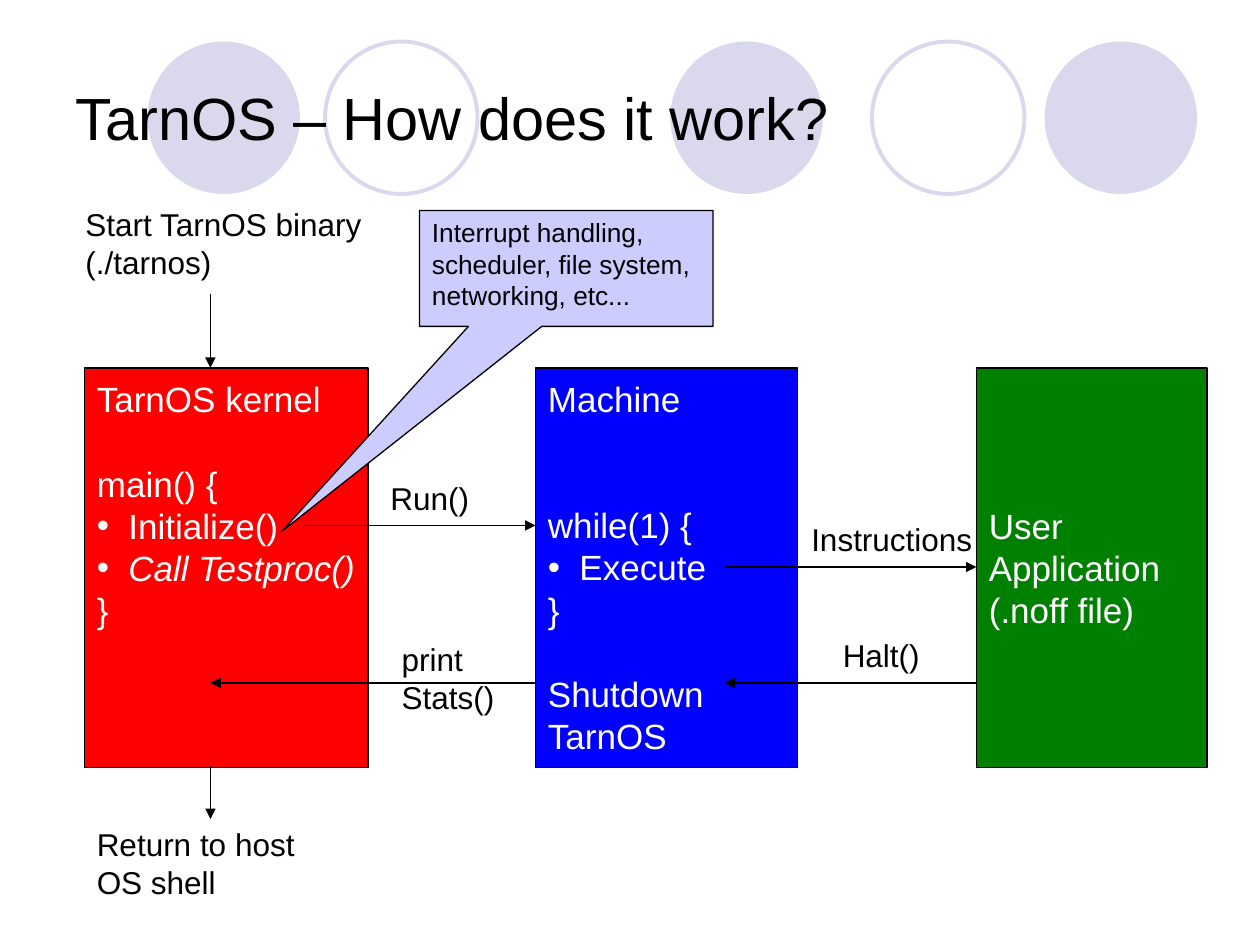
from dataclasses import dataclass
from typing import Any, NamedTuple

from lxml import etree
from pptx import Presentation
from pptx import util as u
from pptx.dml import color
from pptx.enum import shapes, text
from pptx.oxml import ns

KIND = shapes.MSO_SHAPE
MID = text.MSO_ANCHOR.MIDDLE
TOP = text.MSO_ANCHOR.TOP
LEFT = text.PP_ALIGN.LEFT
BLACK, WHITE, PALE = "000000", "FFFFFF", "D9D8EC"


class Line(NamedTuple):
    words: str
    gap: int = 0
    dot: bool = False
    slant: bool = False


class Area(NamedTuple):
    left: float
    top: float
    width: float
    height: float

    def lengths(self) -> list[int]:
        return [u.Inches(n) for n in self]


@dataclass
class Panel:
    left: float
    width: float
    fill: str
    lines: list[Line]
    anchor: Any = TOP
    inset: float = 0.08


@dataclass
class Label:
    area: Area
    lines: list[Line]


class Arrow(NamedTuple):
    x1: float
    y1: float
    x2: float
    y2: float


CIRCLES = [(5.32, True), (8.29, True), (1.17, True), (6.92, False), (2.58, False)]
PANELS = [
    Panel(0.67, 2.25, "FF0000", [
        Line("TarnOS kernel"), Line("main() {", 1), Line("Initialize()", dot=True),
        Line("Call Testproc()", dot=True, slant=True), Line("}")]),
    Panel(4.25, 2.08, "0000FF", [
        Line("Machine"), Line("while(1) {", 2), Line("Execute", dot=True),
        Line("}"), Line("Shutdown", 1), Line("TarnOS")]),
    Panel(7.75, 1.83, "008000", [
        Line("User"), Line("Application"), Line("(.noff file)")], MID, 0.05),
]
ARROWS = [
    Arrow(5.75, 4.5, 7.75, 4.5),
    Arrow(7.75, 5.42, 5.75, 5.42),
    Arrow(1.67, 2.33, 1.67, 2.92),
    Arrow(1.67, 6.08, 1.67, 6.5),
    Arrow(2.42, 4.17, 4.25, 4.17),
    Arrow(4.25, 5.42, 1.67, 5.42),
]
LABELS = [
    Label(Area(6.59, 5, 0.81, 0.4), [Line("Halt()")]),
    Label(Area(0.58, 1.58, 2.49, 0.7), [Line("Start TarnOS binary"), Line("(./tarnos)")]),
    Label(Area(0.67, 6.5, 1.83, 0.7), [Line("Return to host"), Line("OS shell")]),
    Label(Area(6.34, 4.08, 1.48, 0.4), [Line("Instructions")]),
    Label(Area(3, 3.75, 0.82, 0.4), [Line("Run()")]),
    Label(Area(3.09, 5.03, 0.93, 0.7), [Line("print"), Line("Stats()")]),
]


def assign(item: Any, values: dict[str, Any]) -> None:
    for key, value in values.items():
        setattr(item, key, value)


def tint(hue: str) -> color.RGBColor:
    return color.RGBColor.from_string(hue)


def write(shape: Any, lines: list[Line], size: int, hue: str,
          anchor: Any = TOP, inset: float = 0.05) -> None:
    frame = shape.text_frame
    assign(frame, {
        "word_wrap": True, "vertical_anchor": anchor,
        "margin_left": u.Inches(0.1), "margin_right": 0,
        "margin_top": u.Inches(inset), "margin_bottom": u.Inches(0.05)})
    for spot, line in enumerate(lines):
        para = frame.add_paragraph() if spot else frame.paragraphs[0]
        assign(para, {"alignment": LEFT, "space_before": u.Pt(line.gap * size * 1.2)})
        run = para.add_run()
        run.text = line.words
        assign(run.font, {"name": "Arial", "size": u.Pt(size), "italic": line.slant})
        run.font.color.rgb = tint(hue)
        if line.dot:
            props = para._p.get_or_add_pPr()
            props.set("marL", str(u.Inches(0.25)))
            props.set("indent", str(-u.Inches(0.25)))
            etree.SubElement(props, ns.qn("a:buFont"), typeface="Arial")
            etree.SubElement(props, ns.qn("a:buChar"), char="•")


def add_form(slide: Any, kind: Any, area: Area, fill: str | None,
             edge: str | None, weight: float = 0.75) -> Any:
    shape = slide.shapes.add_shape(kind, *area.lengths())
    shape.shadow.inherit = False
    if fill:
        shape.fill.solid()
        shape.fill.fore_color.rgb = tint(fill)
    else:
        shape.fill.background()
    if edge:
        shape.line.color.rgb = tint(edge)
        shape.line.width = u.Pt(weight)
    else:
        shape.line.fill.background()
    return shape


def add_arrow(slide: Any, arrow: Arrow) -> None:
    ends = [u.Inches(n) for n in arrow]
    link = slide.shapes.add_connector(shapes.MSO_CONNECTOR.STRAIGHT, *ends)
    link.line.color.rgb = tint(BLACK)
    link.line.width = u.Pt(0.75)
    etree.SubElement(link.line._get_or_add_ln(), ns.qn("a:tailEnd"), type="triangle")
    etree.SubElement(link._element.spPr, ns.qn("a:effectLst"))


def add_title(slide: Any) -> None:
    title = slide.shapes.title
    area = Area(0.5, 0.3, 9, 1.25).lengths()
    assign(title, dict(zip(("left", "top", "width", "height"), area)))
    write(title, [Line("TarnOS – How does it work?")], 34, BLACK, MID)
    slide.shapes._spTree.append(title._element)


def main() -> None:
    deck = Presentation()
    assign(deck, {"slide_width": u.Inches(10), "slide_height": u.Inches(7.5)})
    slide = deck.slides.add_slide(deck.slide_layouts[5])
    for left, full in CIRCLES:
        add_form(slide, KIND.OVAL, Area(left, 0.33, 1.21, 1.21),
                 PALE if full else None, None if full else PALE, 2.25)
    add_title(slide)
    for panel in PANELS:
        box = add_form(slide, KIND.RECTANGLE, Area(panel.left, 2.92, panel.width, 3.17),
                       panel.fill, BLACK)
        write(box, panel.lines, 20, WHITE, panel.anchor, panel.inset)
    for arrow in ARROWS:
        add_arrow(slide, arrow)
    note = add_form(slide, KIND.RECTANGULAR_CALLOUT, Area(3.33, 1.67, 2.33, 0.92),
                    "CCCCFF", BLACK)
    note.adjustments[0], note.adjustments[1] = -0.97, 2.27
    write(note, [Line("Interrupt handling,"),
                 Line("scheduler, file system, networking, etc...")], 15, BLACK)
    for label in LABELS:
        write(slide.shapes.add_textbox(*label.area.lengths()), label.lines, 18, BLACK)
    deck.save("out.pptx")


if __name__ == "__main__":
    main()
